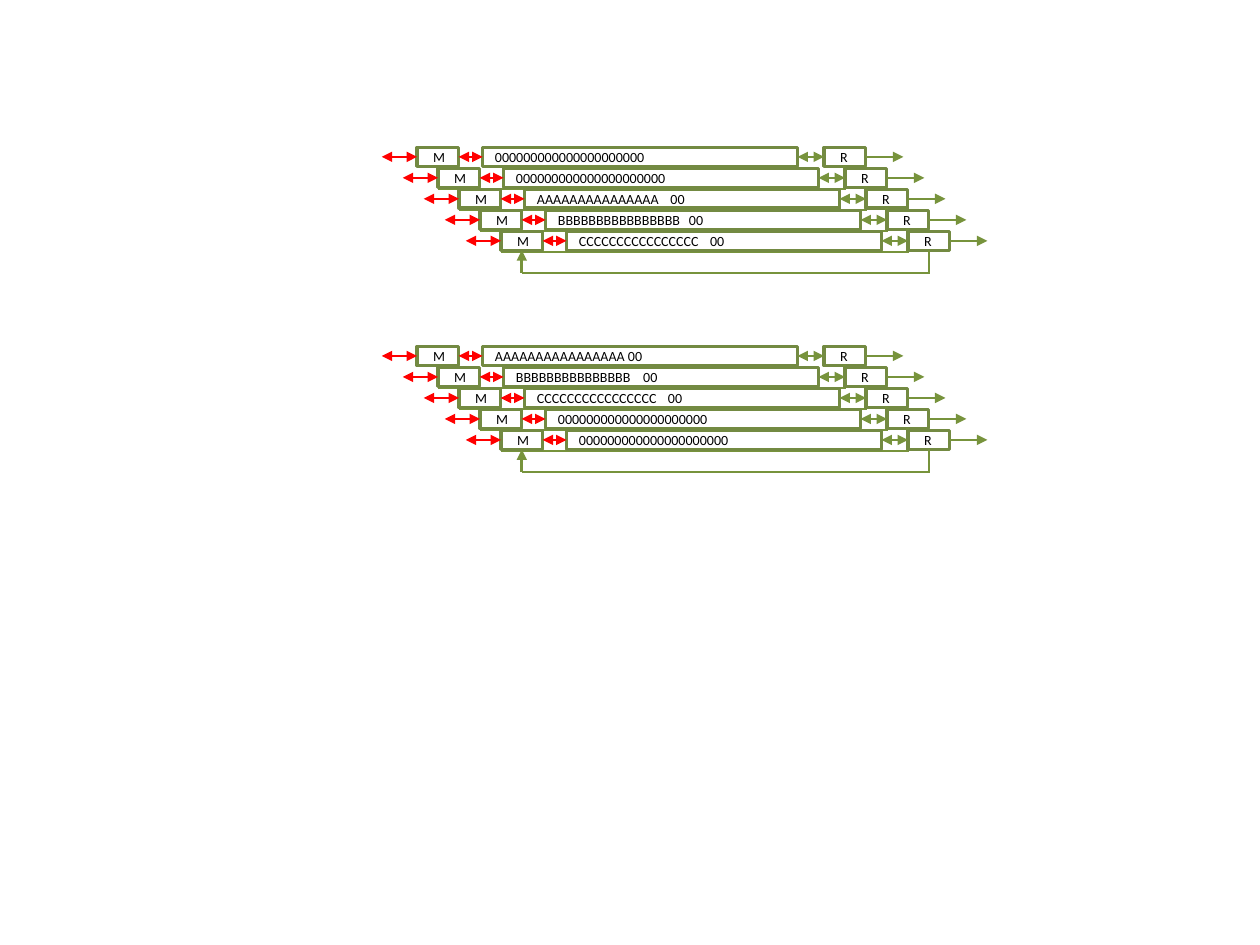
"""Build a slide with two staggered stacks of M / data / R register rows."""
from lxml import etree
from pptx import Presentation
from pptx import util as u
from pptx.dml.color import RGBColor
from pptx.enum import shapes, text
from pptx.oxml.ns import qn

OLIVE = RGBColor(0x73, 0x8A, 0x42)
GREEN = RGBColor(0x77, 0x93, 0x3C)
RED = RGBColor(0xFF, 0x00, 0x00)
BLACK = RGBColor(0x00, 0x00, 0x00)

ZEROS = ("000000000000000000000", None)
STACKS = [
    (1.17, [ZEROS, ZEROS,
            ("AAAAAAAAAAAAAAA\t00", 1.06),
            ("BBBBBBBBBBBBBBBB\t00", 1.04),
            ("CCCCCCCCCCCCCCCC\t00", 1.04)]),
    (2.75, [("AAAAAAAAAAAAAAAA 00", None),
            ("BBBBBBBBBBBBBBB\t00", 1.01),
            ("CCCCCCCCCCCCCCCC\t00", 1.04),
            ZEROS, ZEROS]),
]
LEFT = 3.31
STEP = 0.5 / 3
HEIGHT = 0.15
END_WIDTH = 0.33
DATA_WIDTH = 2.5
DATA_OFFSET = 0.52
R_OFFSET = 3.23
BUS_DROP = 0.33


def add_register(page, left, top, width):
    box = page.shapes.add_shape(shapes.MSO_SHAPE.RECTANGLE, u.Inches(left),
                                u.Inches(top), u.Inches(width), u.Inches(HEIGHT))
    box.shadow.inherit = False
    box.fill.background()
    box.line.color.rgb = OLIVE
    box.line.width = u.Pt(2)
    return box


def add_label(page, left, top, width, wording, wrap=False, stop=None):
    box = page.shapes.add_textbox(u.Inches(left), u.Inches(top - 0.04),
                                  u.Inches(width), u.Inches(0.24))
    box.text_frame.word_wrap = wrap
    box.text_frame.auto_size = text.MSO_AUTO_SIZE.SHAPE_TO_FIT_TEXT
    para = box.text_frame.paragraphs[0]
    if stop:
        tabs = etree.SubElement(para._p.get_or_add_pPr(), qn("a:tabLst"))
        etree.SubElement(tabs, qn("a:tab"), pos=str(u.Inches(stop)), algn="l")
    span = para.add_run()
    span.text = wording
    span.font.name = "Calibri"
    span.font.size = u.Pt(8)
    span.font.color.rgb = BLACK


def add_line(page, start, end, color, arrows=(), source=None, target=None):
    line = page.shapes.add_connector(shapes.MSO_CONNECTOR.STRAIGHT,
                                     *(u.Inches(value) for value in start + end))
    if source:
        line.begin_connect(*source)
    if target:
        line.end_connect(*target)
    line.line.color.rgb = color
    line.line.width = u.Pt(1.5)
    for arrow in arrows:
        etree.SubElement(line.line._get_or_add_ln(), qn(f"a:{arrow}"), type="triangle")
    etree.SubElement(line._element.spPr, qn("a:effectLst"))


def add_row(page, left, top, wording, stop, feedback):
    data_left, r_left = left + DATA_OFFSET, left + R_OFFSET
    data_right, r_right = data_left + DATA_WIDTH, r_left + END_WIDTH
    m_right = left + END_WIDTH
    m_center, r_center = left + END_WIDTH / 2, r_left + END_WIDTH / 2
    middle, bottom, bus = top + HEIGHT / 2, top + HEIGHT, top + BUS_DROP
    both, forward = ("headEnd", "tailEnd"), ("tailEnd",)

    data = add_register(page, data_left, top, DATA_WIDTH)
    m_box = add_register(page, left, top, END_WIDTH)
    r_box = add_register(page, r_left, top, END_WIDTH)
    add_label(page, left + 0.03, top, 0.3, "M")
    add_label(page, r_left + 0.03, top, 0.26, "R")
    add_label(page, data_left, top, DATA_WIDTH, wording, True, stop)

    add_line(page, (m_right, middle), (data_left, middle), RED, both,
             (m_box, 3), (data, 1))
    add_line(page, (data_right, middle), (r_left, middle), GREEN, both,
             (data, 3), (r_box, 1))
    add_line(page, (m_center, bus), (r_center + 0.01, bus), GREEN)
    add_line(page, (r_center, bus), (r_center, bottom), GREEN, target=(r_box, 2))
    if feedback:
        add_line(page, (m_center, bus), (m_center, bottom), GREEN, forward,
                 target=(m_box, 2))
    add_line(page, (left - 0.28, middle), (left, middle), RED, both,
             target=(m_box, 1))
    add_line(page, (r_right, middle), (r_right + 0.3, middle), GREEN, forward,
             source=(r_box, 3))


def main():
    deck = Presentation()
    deck.slide_width, deck.slide_height = u.Inches(10), u.Inches(7.5)
    page = deck.slides.add_slide(deck.slide_layouts[6])
    for top, rows in STACKS:
        for index, (wording, stop) in enumerate(rows):
            shift = index * STEP
            add_row(page, LEFT + shift, top + shift, wording, stop,
                    index == len(rows) - 1)
    deck.save("out.pptx")


if __name__ == "__main__":
    main()
